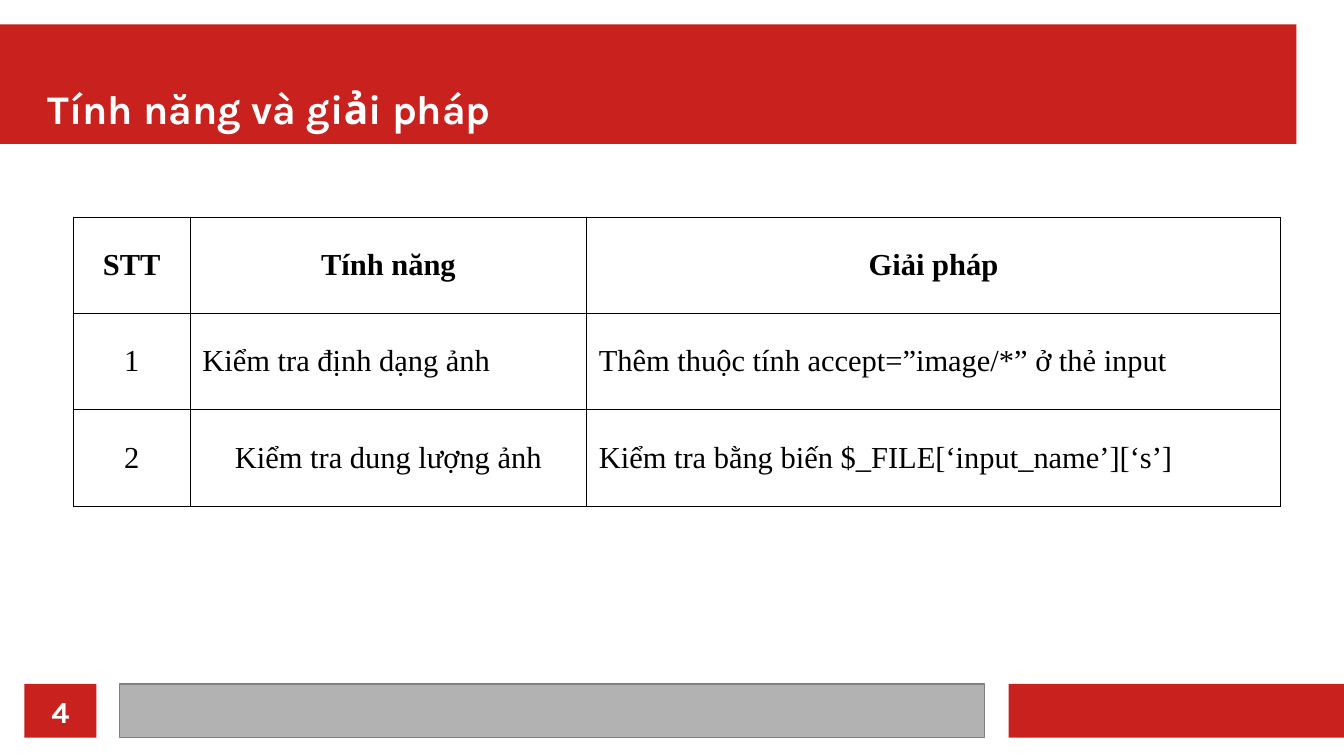
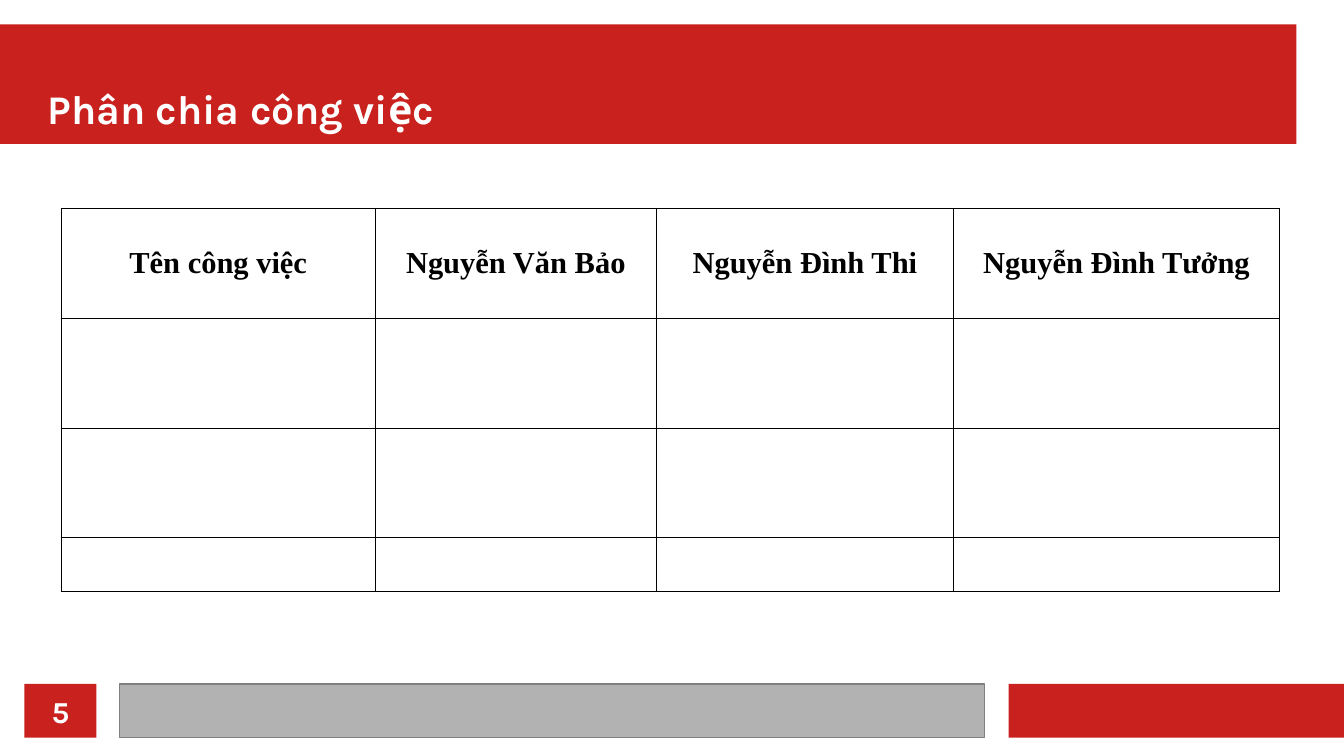
"""Build two table slides that share a red title band and a footer."""
from lxml.etree import SubElement
from pptx import Presentation
from pptx.dml.color import RGBColor
from pptx.enum.shapes import MSO_SHAPE as Shape
from pptx.enum.text import MSO_ANCHOR as Anchor, PP_ALIGN as Align
from pptx.oxml.ns import qn
from pptx.util import Inches, Pt

WIDTH, HEIGHT = 11.02, 6.2
RED, GREY, DARK_GREY, WHITE, BLACK = "C9211E", "B2B2B2", "808080", "FFFFFF", "000000"
HEADING_FONT, BODY_FONT = "Karla", "Times New Roman"
BORDER = 0.57

FOOTER_TOP, FOOTER_HEIGHT = 5.61, 0.44
NUMBER_TILE = (0.2, FOOTER_TOP, 0.59, FOOTER_HEIGHT)
TITLE_BOX = (0.39, 0.3, 10.24, 0.79)
BANDS = [
    ((0, 0.2, 10.63, 0.98), RED, None),
    ((8.27, FOOTER_TOP, WIDTH - 8.27, FOOTER_HEIGHT), RED, None),
    ((0.98, FOOTER_TOP, 7.09, FOOTER_HEIGHT), GREY, DARK_GREY),
    (NUMBER_TILE, RED, None),
]

SLIDES = [
    {
        "title": "Tính năng và giải pháp",
        "number": "4",
        "corner": (0.6, 1.78),
        "columns": [0.96, 3.25, 5.69],
        "heights": [0.79] * 3,
        "rows": [
            ["STT", "Tính năng", "Giải pháp"],
            ["1", "Kiểm tra định dạng ảnh", "Thêm thuộc tính accept=”image/*” ở thẻ input"],
            ["2", "Kiểm tra dung lượng ảnh", "Kiểm tra bằng biến $_FILE[‘input_name’][‘s’]"],
        ],
        "left_aligned": {(1, 1), (1, 2), (2, 2)},
    },
    {
        "title": "Phân chia công việc",
        "number": "5",
        "corner": (0.5, 1.71),
        "columns": [2.58, 2.3, 2.44, 2.67],
        "heights": [0.9, 0.9, 0.9, 0.44],
        "rows": [
            ["Tên công việc", "Nguyễn Văn Bảo", "Nguyễn Đình Thi", "Nguyễn Đình Tưởng"],
            *[[""] * 4] * 3,
        ],
        "left_aligned": set(),
    },
]


def color(value):
    return RGBColor.from_string(value)


def inches(lengths):
    return [Inches(length) for length in lengths]


def write(frame, text, font=BODY_FONT, size=18, bold=False, fill=BLACK, align=Align.LEFT):
    paragraph = frame.paragraphs[0]
    paragraph.alignment = align
    run = paragraph.add_run()
    run.text = text
    run.font.name, run.font.size, run.font.bold = font, Pt(size), bold
    run.font.color.rgb = color(fill)


def add_band(slide, box, fill, line):
    shape = slide.shapes.add_shape(Shape.RECTANGLE, *inches(box))
    shape.shadow.inherit = False
    shape.fill.solid()
    shape.fill.fore_color.rgb = color(fill)
    if line:
        shape.line.color.rgb = color(line)
        shape.line.width = Pt(0)
    else:
        shape.line.fill.background()


def add_label(slide, box, text, anchor, **text_format):
    frame = slide.shapes.add_textbox(*inches(box)).text_frame
    frame.word_wrap = True
    frame.vertical_anchor = anchor
    frame.margin_left = frame.margin_top = frame.margin_right = frame.margin_bottom = 0
    write(frame, text, font=HEADING_FONT, bold=True, fill=WHITE, **text_format)


def outline(cell):
    properties = cell._tc.get_or_add_tcPr()
    for side in ("a:lnL", "a:lnR", "a:lnT", "a:lnB"):
        line = SubElement(properties, qn(side), w=str(Pt(BORDER)))
        SubElement(SubElement(line, qn("a:solidFill")), qn("a:srgbClr"), val=BLACK)


def add_grid(slide, content):
    columns, heights = content["columns"], content["heights"]
    box = (*content["corner"], sum(columns), sum(heights))
    table = slide.shapes.add_table(len(heights), len(columns), *inches(box)).table
    table.first_row = table.horz_banding = False
    for column, width in zip(table.columns, columns):
        column.width = Inches(width)
    for row, height in zip(table.rows, heights):
        row.height = Inches(height)
    for i, texts in enumerate(content["rows"]):
        for j, text in enumerate(texts):
            cell = table.cell(i, j)
            outline(cell)
            cell.fill.background()
            cell.vertical_anchor = Anchor.MIDDLE
            if text:
                align = Align.LEFT if (i, j) in content["left_aligned"] else Align.CENTER
                write(cell.text_frame, text, bold=i == 0, align=align)


def add_slide(presentation, content):
    slide = presentation.slides.add_slide(presentation.slide_layouts[6])
    for band in BANDS:
        add_band(slide, *band)
    add_label(slide, TITLE_BOX, content["title"], Anchor.BOTTOM, size=24)
    add_grid(slide, content)
    add_label(slide, NUMBER_TILE, content["number"], Anchor.MIDDLE, align=Align.CENTER)


def main():
    presentation = Presentation()
    presentation.slide_width, presentation.slide_height = inches((WIDTH, HEIGHT))
    for content in SLIDES:
        add_slide(presentation, content)
    presentation.save("out.pptx")


if __name__ == "__main__":
    main()
